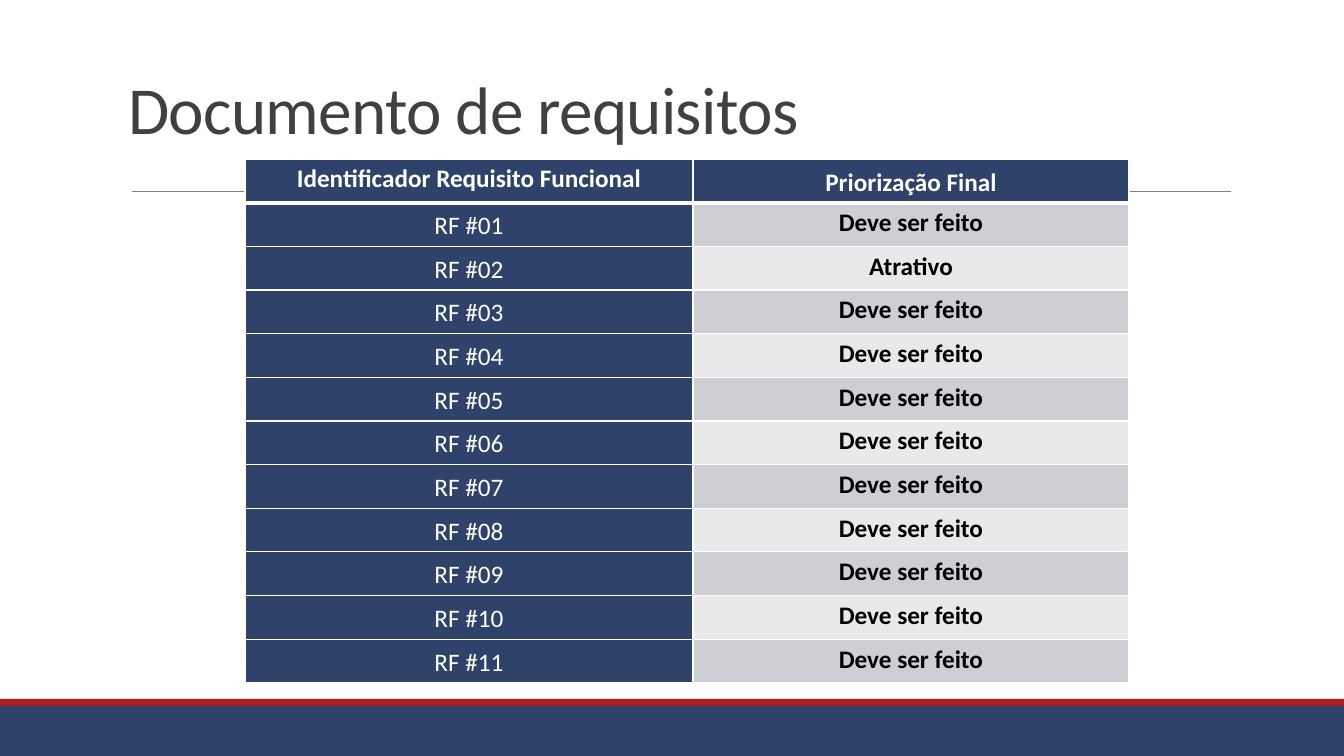
"""Build the requirements document slide with its priority table."""
from lxml.etree import SubElement
from pptx import Presentation
from pptx.dml.color import RGBColor
from pptx.enum.shapes import MSO_CONNECTOR, MSO_SHAPE
from pptx.enum.text import MSO_ANCHOR, MSO_AUTO_SIZE, PP_ALIGN
from pptx.oxml.ns import qn
from pptx.util import Pt

PX = 914400 / 100.8
HEX = {"navy": "2F426A", "red": "AD1F1F", "rule": "808080", "title": "404040",
       "white": "FFFFFF", "black": "000000", "odd": "CDCFD4", "even": "E8E9EB"}


def px(*nums):
    return [round(n * PX) for n in nums]


def write(frame, text, size=18, color="white", bold=False, align=PP_ALIGN.CENTER):
    par = frame.paragraphs[0]
    par.alignment = align
    run = par.add_run()
    run.text = text
    run.font.name = "Calibri"
    run.font.size = Pt(size)
    run.font.bold = bold
    run.font.color.rgb = RGBColor.from_string(HEX[color])
    return run


deck = Presentation()
deck.slide_width, deck.slide_height = px(1344, 756)
slide = deck.slides.add_slide(deck.slide_layouts[5])
shapes = slide.shapes

for color, top, height in [("navy", 706, 50), ("red", 699, 7)]:
    bar = shapes.add_shape(MSO_SHAPE.RECTANGLE, *px(0, top, 1344, height))
    bar.shadow.inherit = False
    bar.fill.solid()
    bar.fill.fore_color.rgb = RGBColor.from_string(HEX[color])
    bar.line.fill.background()

rule = shapes.add_connector(MSO_CONNECTOR.STRAIGHT, *px(132, 191, 1231, 191))
rule.line.color.rgb = RGBColor.from_string(HEX["rule"])
rule.line.width = Pt(0.5)
SubElement(rule._element.spPr, qn("a:effectLst"))

title = shapes.title
title.left, title.top, title.width, title.height = px(118, 74, 1109, 79)
frame = title.text_frame
frame.auto_size = MSO_AUTO_SIZE.NONE
frame.word_wrap = True
frame.vertical_anchor = MSO_ANCHOR.BOTTOM
run = write(frame, "Documento de requisitos", size=48, color="title", align=PP_ALIGN.LEFT)
run.font._element.set("spc", "-50")
frame.paragraphs[0].line_spacing = 0.85

rows = [("Identificador Requisito Funcional", "Priorização Final")]
for num in range(1, 12):
    rows.append((f"RF #{num:02}", "Atrativo" if num == 2 else "Deve ser feito"))

table = shapes.add_table(len(rows), 2, *px(245, 159, 884, 524)).table
for col, width in zip(table.columns, px(448, 436)):
    col.width = width

for r, texts in enumerate(rows):
    table.rows[r].height = px(524 / len(rows))[0]
    for c, text in enumerate(texts):
        cell = table.cell(r, c)
        head, body = r == 0, r > 0 and c == 1
        props = cell._tc.get_or_add_tcPr()
        for side in "LRTB":
            thick = (r, side) in [(0, "B"), (1, "T")]
            edge = SubElement(props, qn(f"a:ln{side}"), w=str(Pt(3 if thick else 1)))
            paint = SubElement(edge, qn("a:solidFill"))
            SubElement(paint, qn("a:srgbClr"), val=HEX["white"])
        fill = ("odd" if r % 2 else "even") if body else "navy"
        cell.fill.solid()
        cell.fill.fore_color.rgb = RGBColor.from_string(HEX[fill])
        cell.vertical_anchor = MSO_ANCHOR.TOP
        cell.margin_top, cell.margin_bottom = px(8 if head == (c == 1) else 5, 0)
        write(cell.text_frame, text, color="black" if body else "white", bold=head or body)

deck.save("out.pptx")
